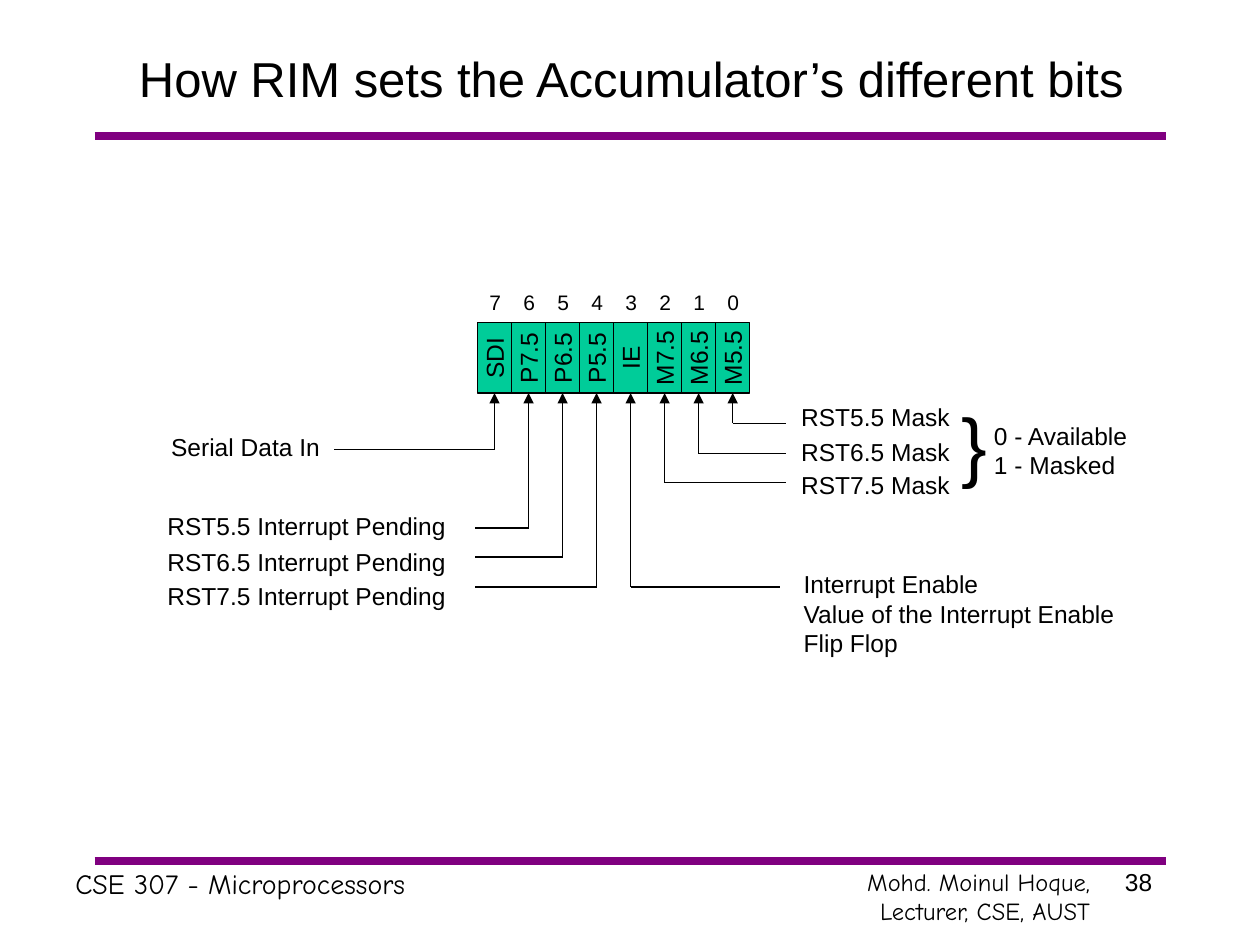
import pptx
import pptx.util
import pptx.dml.color
import pptx.enum.shapes
import pptx.enum.text
import pptx.oxml

Inches = pptx.util.Inches
Align = pptx.enum.text.PP_ALIGN
Anchor = pptx.enum.text.MSO_ANCHOR

LEFT, TOP, STEP, HIGH = 3.79, 2.56, 0.27, 0.56
BITS = ["SDI", "P7.5", "P6.5", "P5.5", "IE", "M7.5", "M6.5", "M5.5"]
LEADS = [
    (0, 3.57, 2.65),
    (1, 4.19, 3.77),
    (2, 4.42, 3.77),
    (3, 4.66, 3.77),
    (4, 4.66, 6.19),
    (5, 3.83, 6.24),
    (6, 3.6, 6.24),
    (7, 3.36, 6.24),
]
NOTES = [
    ("Serial Data In", 1.26, 3.38, 1.38, 0.34),
    ("RST5.5 Interrupt Pending", 1.23, 4.01, 2.41, 0.34),
    ("RST6.5 Interrupt Pending", 1.23, 4.29, 2.41, 0.34),
    ("RST7.5 Interrupt Pending", 1.23, 4.56, 2.41, 0.34),
    ("RST5.5 Mask", 6.26, 3.14, 1.38, 0.34),
    ("RST6.5 Mask", 6.26, 3.42, 1.38, 0.34),
    ("RST7.5 Mask", 6.26, 3.68, 1.38, 0.34),
    ("0 - Available\n1 - Masked", 7.79, 3.29, 1.27, 0.57),
    ("Interrupt Enable\nValue of the Interrupt Enable\nFlip Flop", 6.28, 4.47, 2.68, 0.8),
]


def color(code):
    return pptx.dml.color.RGBColor.from_string(code)


def style(frame, size, face="Arial", align=Align.LEFT):
    for para in frame.paragraphs:
        para.alignment = align
        for run in para.runs:
            run.font.size = pptx.util.Pt(size)
            run.font.name = face
            run.font.color.rgb = color("000000")


def add_text(slide, text, x, y, w, h, size=14, face="Arial", align=Align.LEFT, wrap=False):
    box = slide.shapes.add_textbox(Inches(x), Inches(y), Inches(w), Inches(h))
    box.text_frame.text = text
    box.text_frame.word_wrap = wrap
    style(box.text_frame, size, face, align)
    return box


def add_line(slide, x1, y1, x2, y2, tint="000000", width=0.75, arrow=False):
    line = slide.shapes.add_connector(
        pptx.enum.shapes.MSO_CONNECTOR.STRAIGHT,
        Inches(x1), Inches(y1), Inches(x2), Inches(y2))
    line.line.color.rgb = color(tint)
    line.line.width = pptx.util.Pt(width)
    props = line._element.spPr
    if arrow:
        stroke = props.find(pptx.oxml.ns.qn("a:ln"))
        stroke.append(stroke.makeelement(
            pptx.oxml.ns.qn("a:headEnd"), {"type": "triangle"}))
    props.append(props.makeelement(pptx.oxml.ns.qn("a:effectLst"), {}))


def add_title(slide, text):
    title = slide.shapes.title
    title.left, title.top = Inches(0.76), Inches(0.24)
    title.width, title.height = Inches(8.5), Inches(0.75)
    title.text_frame.text = text
    title.text_frame.vertical_anchor = Anchor.MIDDLE
    style(title.text_frame, 28, align=Align.CENTER)


def add_frame(slide):
    for y in (1.08, 6.83):
        add_line(slide, 0.75, y, 9.25, y, "800080", 4.5)
    add_text(slide, "CSE 307 - Microprocessors", 0.5, 6.83, 5.67, 0.37,
             16, "Comic Neue", wrap=True)
    add_text(slide, "Mohd. Moinul Hoque, Lecturer, CSE, AUST", 6.33, 6.83, 2.42, 0.57,
             14, "Comic Neue", Align.RIGHT, True)
    add_text(slide, "38", 8.83, 6.83, 0.53, 0.5, wrap=True)


def add_byte(slide):
    bar = slide.shapes.add_shape(
        pptx.enum.shapes.MSO_SHAPE.RECTANGLE,
        Inches(LEFT), Inches(TOP), Inches(STEP * len(BITS)), Inches(HIGH))
    bar.shadow.inherit = False
    bar.fill.solid()
    bar.fill.fore_color.rgb = color("00CC99")
    bar.line.color.rgb = color("000000")
    bar.line.width = pptx.util.Pt(0.75)
    for i, name in enumerate(BITS):
        edge = LEFT + i * STEP
        mid = edge + STEP / 2
        if i:
            add_line(slide, edge, TOP + HIGH, edge, TOP)
        label = add_text(slide, name, mid - 0.4, 2.67, 0.8, 0.34, align=Align.CENTER)
        label.rotation = 270
        add_text(slide, str(7 - i), mid - 0.14, 2.25, 0.29, 0.3, 12)


def add_leads(slide):
    for bit, y, end in LEADS:
        mid = LEFT + (bit + 0.5) * STEP
        add_line(slide, mid, TOP + HIGH, mid, y, arrow=True)
        add_line(slide, mid, y, end, y)


def main():
    deck = pptx.Presentation()
    deck.slide_width, deck.slide_height = Inches(10), Inches(7.5)
    slide = deck.slides.add_slide(deck.slide_layouts[5])
    add_frame(slide)
    add_title(slide, "How RIM sets the Accumulator’s different bits")
    add_byte(slide)
    add_leads(slide)
    for note in NOTES:
        add_text(slide, *note)
    add_text(slide, "}", 7.53, 3.1, 0.4, 0.84, 44)
    deck.save("out.pptx")


if __name__ == "__main__":
    main()
